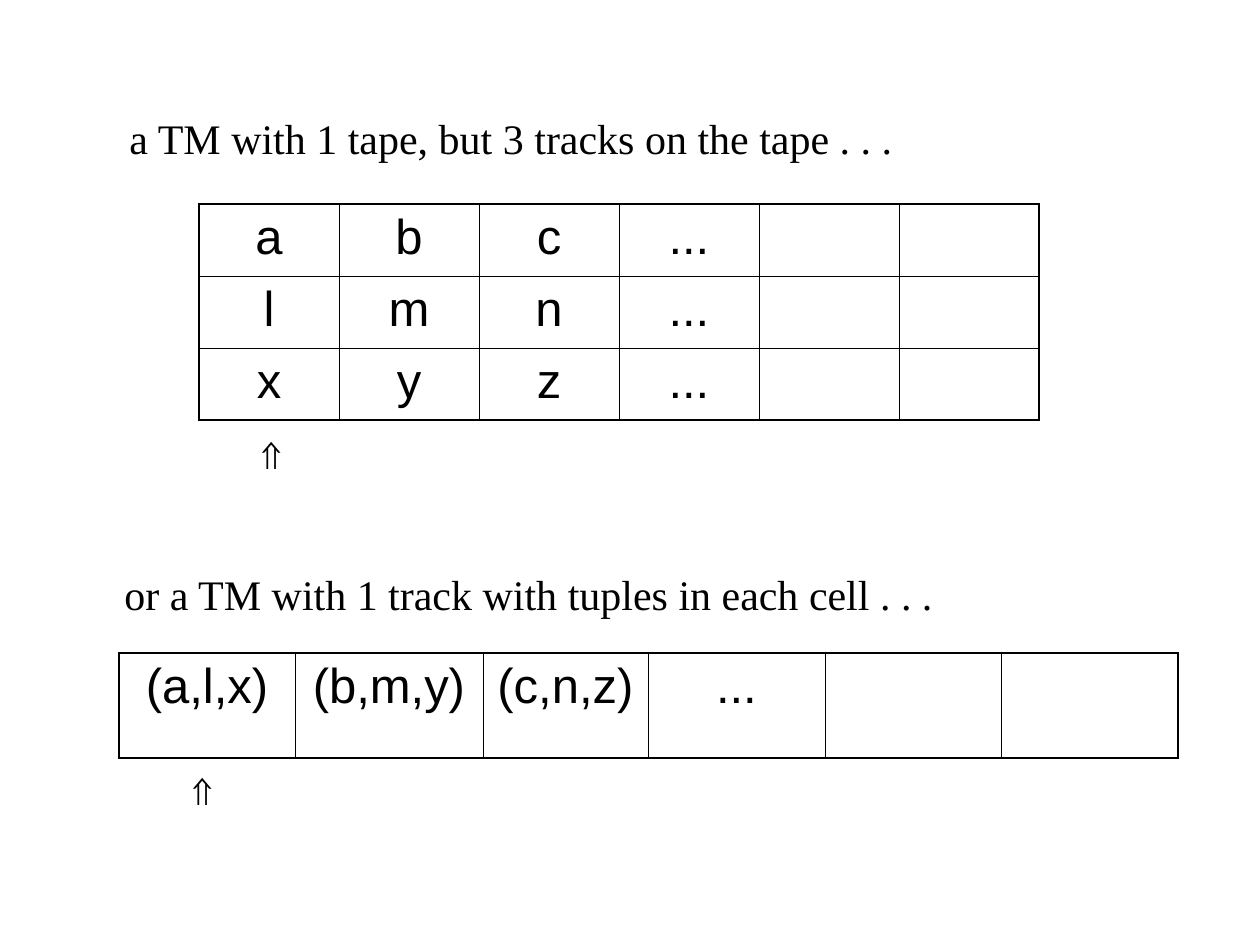
from dataclasses import dataclass

from lxml import etree
from pptx import Presentation
from pptx import util as u
from pptx.dml.color import RGBColor
from pptx.enum import text
from pptx.oxml.ns import qn

PX_PER_INCH = 126


def px(length):
    return u.Emu(round(length * u.Inches(1) / PX_PER_INCH))


@dataclass(frozen=True)
class Theme:
    ink: str = "000000"
    serif: str = "Times New Roman"
    sans: str = "Arial"
    body_size: int = 24
    symbol_size: int = 28
    outer_line: float = 1.08
    inner_line: float = 0.45


class TapeSlide:
    def __init__(self, deck, theme):
        self.theme = theme
        self.slide = deck.slides.add_slide(deck.slide_layouts[6])

    def style(self, paragraph, font_name, size):
        paragraph.font.name = font_name
        paragraph.font.size = u.Pt(size)
        paragraph.font.color.rgb = RGBColor.from_string(self.theme.ink)

    def label(self, wording, left, top, width, height, font_name):
        box = self.slide.shapes.add_textbox(px(left), px(top), px(width), px(height))
        frame = box.text_frame
        frame.word_wrap = False
        frame.auto_size = text.MSO_AUTO_SIZE.SHAPE_TO_FIT_TEXT
        frame.text = wording
        self.style(frame.paragraphs[0], font_name, self.theme.body_size)

    def caption(self, wording, left, top, width):
        self.label(wording, left, top, width, 63, self.theme.serif)

    def head(self, left, top):
        self.label("⇑", left, top, 50, 63, self.theme.sans)

    def border(self, cell, side, width):
        properties = cell._tc.get_or_add_tcPr()
        line = etree.SubElement(properties, qn(f"a:ln{side}"), w=str(u.Pt(width)))
        fill = etree.SubElement(line, qn("a:solidFill"))
        etree.SubElement(fill, qn("a:srgbClr"), val=self.theme.ink)

    def tape(self, tracks, left, top, widths, height):
        row_count, column_count = len(tracks), len(widths)
        grid = self.slide.shapes.add_table(
            row_count, column_count, px(left), px(top),
            px(sum(widths)), px(height * row_count),
        ).table
        grid.first_row = False
        grid.horz_banding = False
        for column, width in zip(grid.columns, widths):
            column.width = px(width)
        for r, symbols in enumerate(tracks):
            grid.rows[r].height = px(height)
            for c in range(column_count):
                cell = grid.cell(r, c)
                outer_sides = {
                    "L": c == 0,
                    "R": c == column_count - 1,
                    "T": r == 0,
                    "B": r == row_count - 1,
                }
                for side, is_outer in outer_sides.items():
                    width = self.theme.outer_line if is_outer else self.theme.inner_line
                    self.border(cell, side, width)
                cell.fill.background()
                if c < len(symbols):
                    cell.text = symbols[c]
                    paragraph = cell.text_frame.paragraphs[0]
                    paragraph.alignment = text.PP_ALIGN.CENTER
                    self.style(paragraph, self.theme.sans, self.theme.symbol_size)


def main():
    deck = Presentation()
    deck.slide_width, deck.slide_height = px(1260), px(945)
    machine = TapeSlide(deck, Theme())

    tracks = [[*"abc", "..."], [*"lmn", "..."], [*"xyz", "..."]]
    tuples = [f"({','.join(symbols)})" for symbols in zip(*(track[:3] for track in tracks))]

    machine.tape([[*tuples, "..."]], 119, 653, [176, 188, 165, 177, 176, 177], 105)
    machine.head(244, 421)
    machine.tape(tracks, 199, 204, [140] * 6, 72)
    machine.caption("a TM with 1 tape, but 3 tracks on the tape . . .", 117, 106, 789)
    machine.caption("or a TM with 1 track with tuples in each cell . . .", 112, 562, 834)
    machine.head(175, 757)

    deck.save("out.pptx")


if __name__ == "__main__":
    main()
